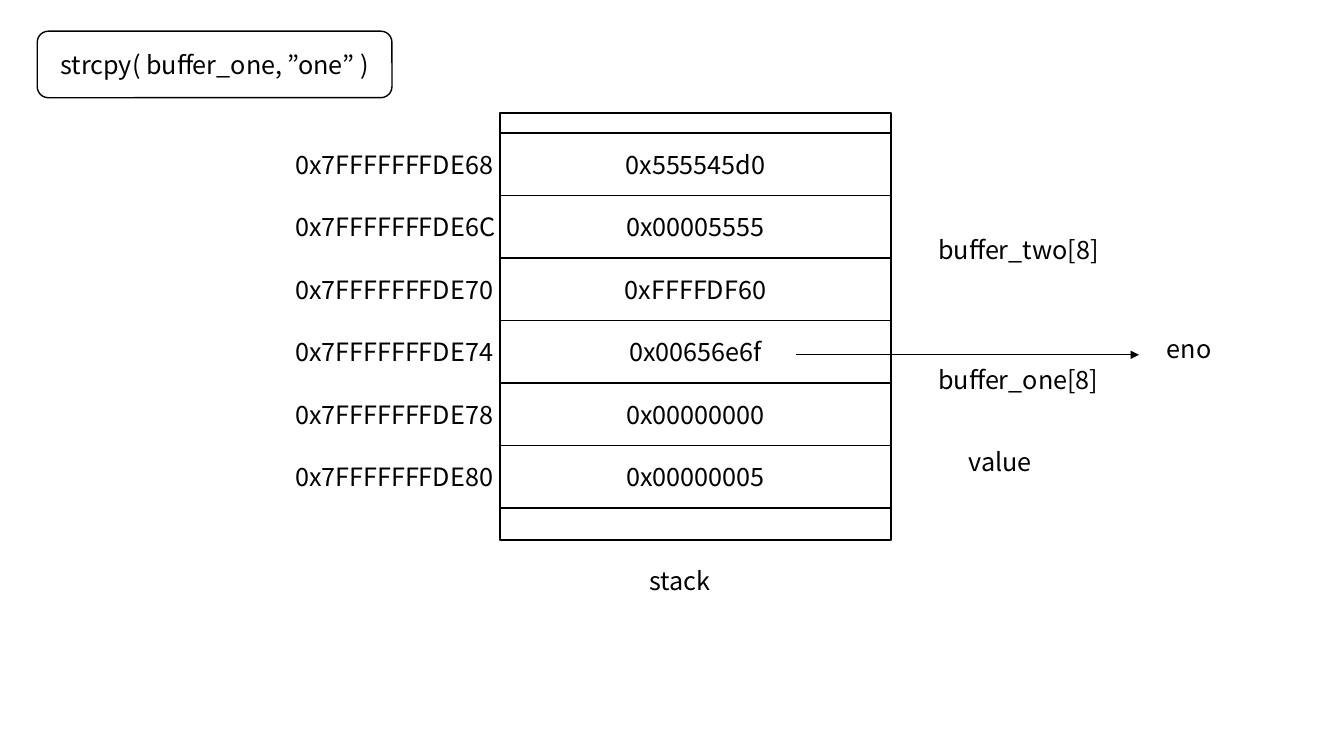
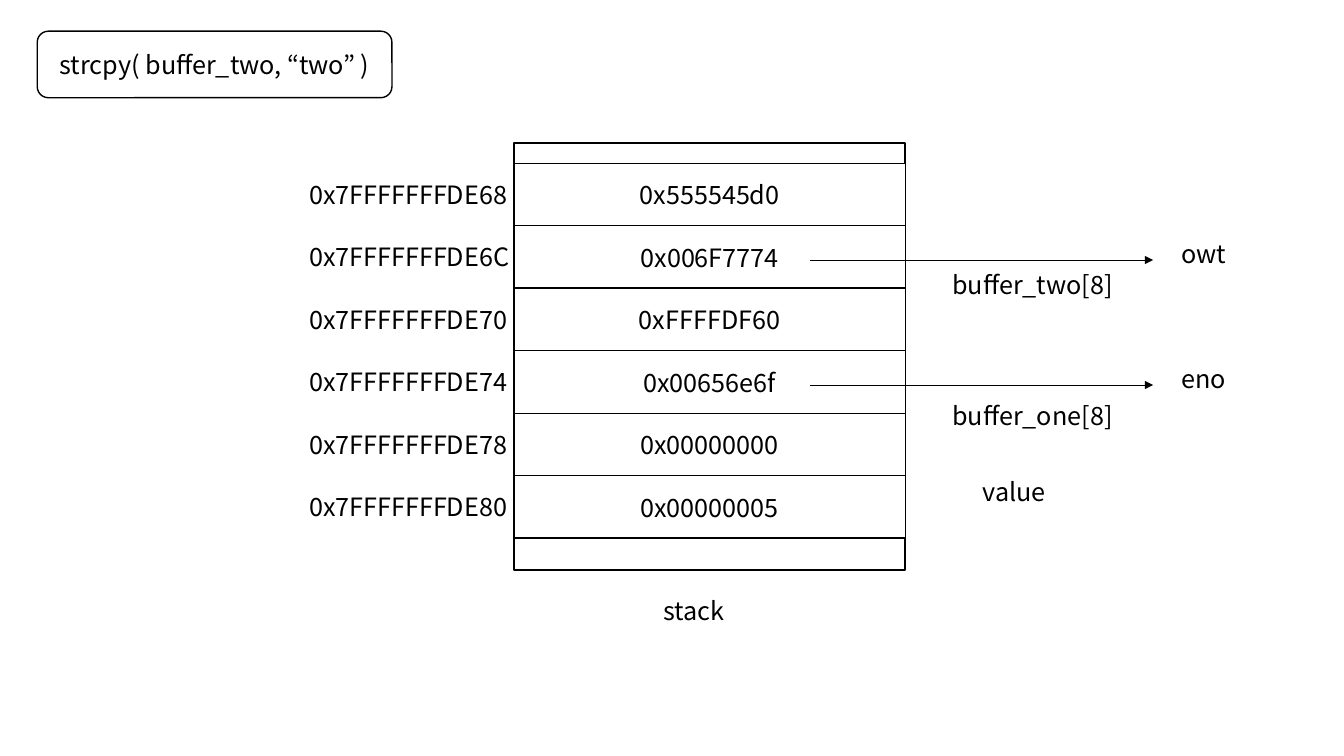
"""Draw how two strcpy calls change the stack, one slide per call."""
from lxml import etree
from pptx import Presentation, util as u
from pptx.dml.color import RGBColor
from pptx.enum import shapes, text
from pptx.oxml.ns import qn

Pt = u.Pt
FONT, SIZE = "Noto Sans CJK KR", 18
INK, PAPER = "000000", "FFFFFF"
ADDRESSES = ["0x7FFFFFFFDE68", "0x7FFFFFFFDE6C", "0x7FFFFFFFDE70",
             "0x7FFFFFFFDE74", "0x7FFFFFFFDE78", "0x7FFFFFFFDE80"]
STATES = [
    {"call": "strcpy( buffer_one, ”one” )", "origin": (357.1, 80.6),
     "words": ["0x555545d0", "0x00005555", "0xFFFFDF60",
               "0x00656e6f", "0x00000000", "0x00000005"],
     "reads": {3: "eno"},
     "names": [("buffer_two[8]", 306, 83.5), ("buffer_one[8]", 306, 176.4)]},
    {"call": "strcpy( buffer_two, “two” )", "origin": (367.2, 102.2),
     "words": ["0x555545d0", "0x006F7774", "0xFFFFDF60",
               "0x00656e6f", "0x00000000", "0x00000005"],
     "reads": {1: "owt", 3: "eno"},
     "names": [("buffer_two[8]", 306, 86.4), ("buffer_one[8]", 306, 180)]},
]
SHARED_NAMES = [("value", 327.6, 234.7), ("stack", 99.4, 319.7)]
CALL_BOX = (26.6, 22.3, 253.4, 47.5)
STACK_WIDTH, STACK_HEIGHT = 279.4, 305.3
FIRST_ROW, ROW_HEIGHT = 14.4, 44.64
LABEL_WIDTH, RESULT_WIDTH, LABEL_HEIGHT = 169.2, 80, 28.8


def color(value):
    return RGBColor.from_string(value)


def write(frame, words, align):
    frame.word_wrap = True
    para = frame.paragraphs[0]
    para.alignment = align
    span = para.add_run()
    span.text = words
    span.font.name, span.font.size = FONT, Pt(SIZE)
    span.font.color.rgb = color(INK)


def add_box(page, kind, place, weight, fill=None, words=None):
    box = page.shapes.add_shape(kind, *map(Pt, place))
    box.shadow.inherit = False
    box.line.color.rgb, box.line.width = color(INK), Pt(weight)
    if fill:
        box.fill.solid()
        box.fill.fore_color.rgb = color(fill)
    else:
        box.fill.background()
    if words:
        box.text_frame.vertical_anchor = text.MSO_ANCHOR.MIDDLE
        write(box.text_frame, words, text.PP_ALIGN.CENTER)


def add_label(page, words, left, top, width=LABEL_WIDTH):
    box = page.shapes.add_textbox(*map(Pt, (left, top, width, LABEL_HEIGHT)))
    box.text_frame.auto_size = text.MSO_AUTO_SIZE.SHAPE_TO_FIT_TEXT
    write(box.text_frame, words, text.PP_ALIGN.LEFT)


def add_arrow(page, start, end, y):
    arrow = page.shapes.add_connector(
        shapes.MSO_CONNECTOR.STRAIGHT, Pt(start), Pt(y), Pt(end), Pt(y))
    arrow.line.color.rgb, arrow.line.width = color(INK), Pt(0.5)
    etree.SubElement(arrow.line._get_or_add_ln(), qn("a:tailEnd"), type="triangle")
    etree.SubElement(arrow._element.spPr, qn("a:effectLst"))


def add_state(deck, state):
    page = deck.slides.add_slide(deck.slide_layouts[6])
    left, top = state["origin"]
    row_tops = [top + FIRST_ROW + row * ROW_HEIGHT for row in range(len(ADDRESSES))]
    rectangle = shapes.MSO_SHAPE.RECTANGLE
    add_box(page, rectangle, (left, top, STACK_WIDTH, STACK_HEIGHT), 1.5)
    for address, word, y in zip(ADDRESSES, state["words"], row_tops):
        add_box(page, rectangle, (left, y, STACK_WIDTH, ROW_HEIGHT), 1, PAPER, word)
        add_label(page, address, left - 153.4, y + 7.9)
    for row, result in state["reads"].items():
        add_arrow(page, left + 211.7, left + 456.5, row_tops[row] + 24.5)
        add_label(page, result, left + 469.4, row_tops[row] + 5.8, RESULT_WIDTH)
    for name, x, y in state["names"] + SHARED_NAMES:
        add_label(page, name, left + x, top + y)
    add_box(page, shapes.MSO_SHAPE.ROUNDED_RECTANGLE, CALL_BOX, 1, PAPER, state["call"])


def main():
    deck = Presentation()
    deck.slide_width, deck.slide_height = Pt(960), Pt(540)
    for state in STATES:
        add_state(deck, state)
    deck.save("out.pptx")


if __name__ == "__main__":
    main()
